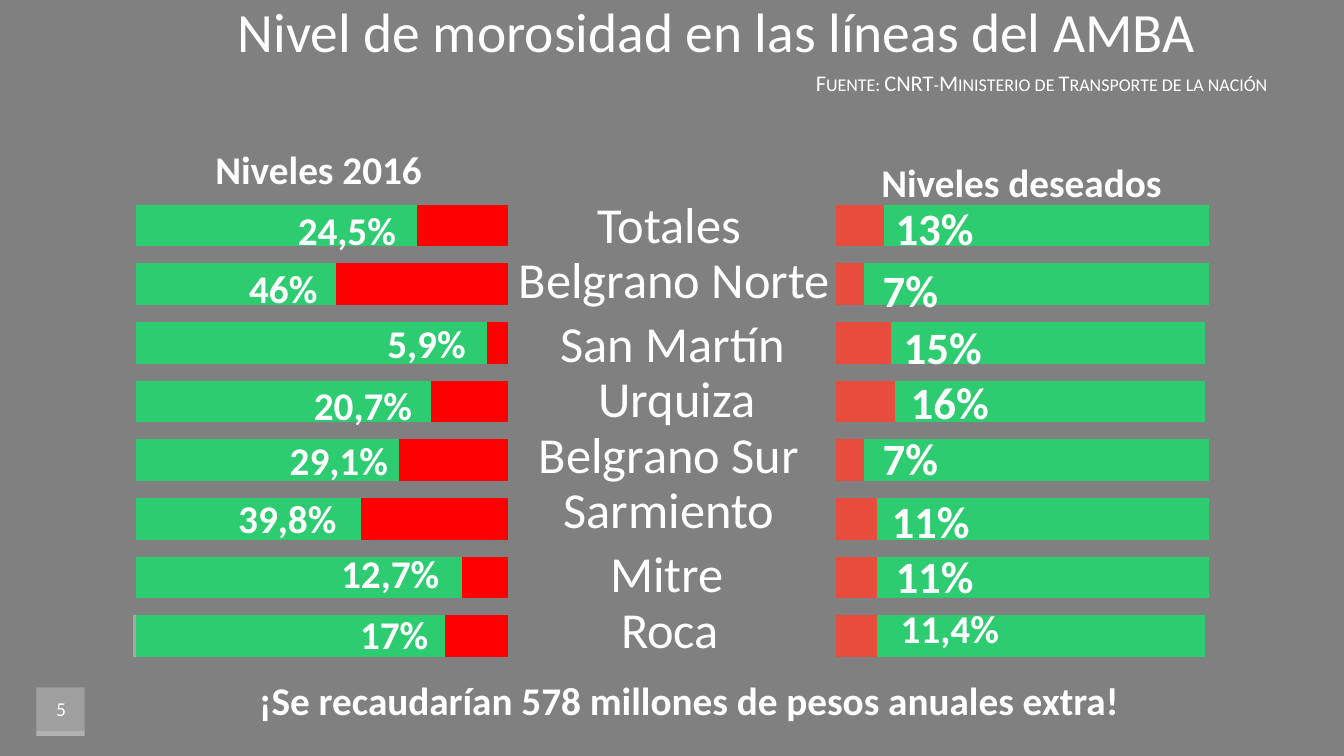
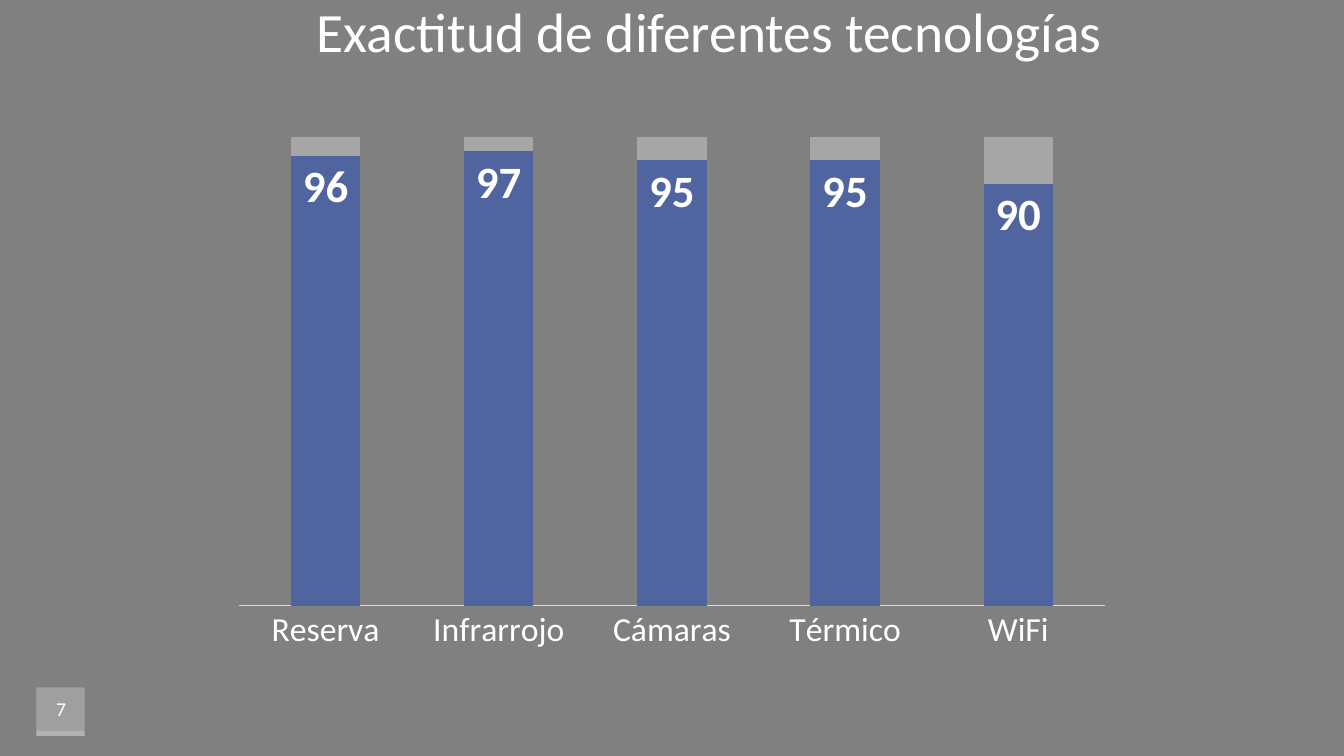
from dataclasses import dataclass
from typing import NamedTuple, Optional

from lxml.etree import SubElement
from pptx import Presentation
from pptx.chart.data import CategoryChartData
from pptx.dml.color import RGBColor
from pptx.enum.chart import XL_CHART_TYPE as ChartType, XL_LABEL_POSITION as LabelPosition
from pptx.enum.chart import XL_TICK_MARK as TickMark
from pptx.enum.shapes import MSO_SHAPE as Preset
from pptx.enum.text import MSO_ANCHOR as Anchor, MSO_AUTO_SIZE as AutoSize, PP_ALIGN as Align
from pptx.oxml import parse_xml
from pptx.oxml.ns import nsdecls, qn
from pptx.util import Inches, Pt


@dataclass(frozen=True)
class Theme:
    font: str = "Calibri"
    background: str = "808080"
    white: str = "FFFFFF"
    green: str = "2ECC71"
    red: str = "FF0000"
    soft_red: str = "E74C3C"
    blue: str = "50649F"
    grey: str = "A6A6A6"
    axis: str = "D9D9D9"
    title_size: float = 39.6
    source_size: float = 16
    number_size: float = 14
    name_size: float = 36
    figure_size: float = 28
    large_size: float = 32
    category_size: float = 24


THEME = Theme()


class Box(NamedTuple):
    left: float
    top: float
    width: float
    height: float

    def lengths(self) -> list:
        return [Inches(value) for value in self]


class Label(NamedTuple):
    text: str
    left: float
    top: float
    width: float
    size: float = THEME.figure_size


class Series(NamedTuple):
    name: str
    values: tuple
    color: str


class BarPanel(NamedTuple):
    box: Box
    series: tuple
    axis_maximum: float
    reverse: bool


TITLE_HEIGHT = 0.68
LABEL_HEIGHTS = {THEME.figure_size: 0.57, THEME.large_size: 0.64, THEME.name_size: 0.71}
BADGE_PARTS = ((Box(0.36, 6.82, 0.48, 0.48), 25), (Box(0.36, 7.25, 0.48, 0.05), 20))

LINE_NAMES = [
    Label(*row, THEME.name_size) for row in (
        ("Totales", 5.8, 1.86, 1.68),
        ("Belgrano Norte", 5, 2.41, 3.38),
        ("San Martín", 5.41, 3.04, 2.52),
        ("Urquiza", 5.81, 3.59, 1.81),
        ("Belgrano Sur", 5.2, 4.14, 2.87),
        ("Sarmiento", 5.45, 4.69, 2.37),
        ("Mitre", 5.93, 5.32, 1.37),
        ("Roca", 6.04, 5.88, 1.21),
    )
]
CURRENT_LEVELS = [
    Label("24,5%", 2.73, 2, 1.42),
    Label("46%", 2.26, 2.57, 1.1),
    Label("5,9%", 3.52, 3.12, 1.42),
    Label("20,7%", 2.89, 3.73, 1.42),
    Label("29,1%", 2.65, 4.28, 1.42),
    Label("39,8%", 2.18, 4.85, 1.34),
    Label("12,7%", 3.2, 5.4, 1.34),
    Label("17%", 3.36, 6.01, 1.1),
]
DESIRED_LEVELS = [
    Label(*row, THEME.large_size) for row in (
        ("13%", 8.56, 1.94, 1.42),
        ("7%", 8.32, 2.56, 1.42),
        ("15%", 8.64, 3.12, 1.42),
        ("16%", 8.87, 3.67, 1.1),
        ("7%", 8.48, 4.22, 1.1),
        ("11%", 8.64, 4.85, 1.18),
        ("11%", 8.56, 5.39, 1.42),
    )
] + [Label("11,4%", 8.71, 5.95, 1.42)]
CAPTIONS = [
    Label("Niveles 2016", 1.86, 1.39, 2.6),
    Label("Niveles deseados", 8.4, 1.52, 3.46),
    Label("¡Se recaudarían 578 millones de pesos anuales extra!", 2.34, 6.66, 8.98),
]
DESIRED_PANEL = BarPanel(
    Box(8.2, 1.85, 4.6, 4.85),
    (
        Series("Series 1", (12, 12, 12, 8, 17, 16, 8, 14), THEME.soft_red),
        Series("Series 2", (95, 96, 96, 100, 90, 91, 100, 94), THEME.green),
        Series("Series 3", (0,) * 8, THEME.grey),
    ),
    axis_maximum=129, reverse=False,
)
CURRENT_PANEL = BarPanel(
    Box(0.53, 1.85, 4.6, 4.85),
    (
        Series("Series 1", (18, 13, 42, 31, 22, 6, 49, 26), THEME.red),
        Series("Series 2", (88, 93, 64, 75, 84, 100, 57, 80), THEME.green),
        Series("Series 3", (1,) + (None,) * 7, THEME.grey),
    ),
    axis_maximum=127, reverse=True,
)
TECHNOLOGIES = ("Reserva", "Infrarrojo", "Cámaras", "Térmico", "WiFi")
ACCURACY = (96, 97, 95, 95, 90)
ACCURACY_PLOT = {"x": 0.017, "y": 0.096, "w": 0.966, "h": 0.784}


def rgb(color: str) -> RGBColor:
    return RGBColor.from_string(color)


def style_font(font, size: float, bold: bool = False) -> None:
    font.name = THEME.font
    font.size = Pt(size)
    font.bold = bold
    font.color.rgb = rgb(THEME.white)


def write_text(shape, text: str, size: float, align=Align.CENTER, bold: bool = False,
               anchor=Anchor.MIDDLE, wrap: bool = True):
    frame = shape.text_frame
    frame.word_wrap = wrap
    frame.auto_size = AutoSize.NONE
    frame.vertical_anchor = anchor
    paragraph = frame.paragraphs[0]
    paragraph.text = text
    paragraph.alignment = align
    style_font(paragraph.font, size, bold)
    return paragraph


def place(shape, box: Box) -> None:
    shape.left, shape.top, shape.width, shape.height = box.lengths()


def add_label(slide, label: Label, is_name: bool = False) -> None:
    box = Box(label.left, label.top, label.width, LABEL_HEIGHTS[label.size])
    write_text(slide.shapes.add_textbox(*box.lengths()), label.text, label.size,
               bold=not is_name, wrap=not is_name,
               anchor=Anchor.MIDDLE if is_name else Anchor.TOP)


def add_badge(slide, number: int) -> None:
    """Draw the translucent page number square."""
    for box, opacity in BADGE_PARTS:
        square = slide.shapes.add_shape(Preset.RECTANGLE, *box.lengths())
        square.shadow.inherit = False
        square.line.fill.background()
        square.fill.solid()
        square.fill.fore_color.rgb = rgb(THEME.white)
        color = square.fill._xPr.find(f".//{qn('a:srgbClr')}")
        SubElement(color, qn("a:alpha"), val=str(opacity * 1000))
    number_box = slide.shapes.add_textbox(*Box(0.29, 6.82, 0.63, 0.43).lengths())
    write_text(number_box, str(number), THEME.number_size)


def add_slide(presentation, layout_index: int, number: int, title: str,
              left: float, width: float):
    slide = presentation.slides.add_slide(presentation.slide_layouts[layout_index])
    add_badge(slide, number)
    place(slide.shapes.title, Box(left, 0, width, TITLE_HEIGHT))
    paragraph = write_text(slide.shapes.title, title, THEME.title_size, Align.LEFT)
    paragraph.line_spacing = 0.9
    return slide


def add_stacked_chart(slide, kind, box: Box, categories, series_list, gap: int,
                      plot_area: Optional[dict] = None):
    data = CategoryChartData()
    data.categories = categories
    for series in series_list:
        data.add_series(series.name, series.values)
    chart = slide.shapes.add_chart(kind, *box.lengths(), data).chart
    chart.has_legend = False
    chart.has_title = False
    chart.font.name = THEME.font
    chart.font.size = Pt(10)
    chart.value_axis.has_major_gridlines = False
    chart.value_axis.visible = False
    plot = chart.plots[0]
    plot.gap_width = gap
    plot.overlap = 100
    plot.vary_by_categories = False
    for drawn, series in zip(plot.series, series_list):
        drawn.format.fill.solid()
        drawn.format.fill.fore_color.rgb = rgb(series.color)
        drawn.invert_if_negative = False
    if plot_area:
        set_plot_area(chart, plot_area)
    return chart


def set_plot_area(chart, fractions: dict) -> None:
    """Fix the inner plot area as fractions of the chart."""
    area = chart._chartSpace.find(f".//{qn('c:plotArea')}")
    for layout in area.findall(qn("c:layout")):
        area.remove(layout)
    modes = '<c:layoutTarget val="inner"/><c:xMode val="edge"/><c:yMode val="edge"/>'
    sizes = "".join(f'<c:{key} val="{value}"/>' for key, value in fractions.items())
    area.insert(0, parse_xml(
        f'<c:layout {nsdecls("c")}><c:manualLayout>{modes}{sizes}</c:manualLayout></c:layout>'))


def add_bar_panel(slide, panel: BarPanel) -> None:
    categories = [str(index) for index in range(1, 9)]
    chart = add_stacked_chart(slide, ChartType.BAR_STACKED, panel.box, categories,
                              panel.series, gap=40)
    chart.category_axis.visible = False
    chart.value_axis.minimum_scale = 0
    chart.value_axis.maximum_scale = panel.axis_maximum
    chart.value_axis.reverse_order = panel.reverse


def build_evasion_slide(presentation) -> None:
    slide = add_slide(presentation, 0, 5, "Nivel de morosidad en las líneas del AMBA", 2.26, 10.41)
    source = slide.placeholders[1]
    place(source, Box(2.26, 0.68, 10.41, 0.31))
    paragraph = write_text(source, "Fuente: CNRT-Ministerio de Transporte de la nación",
                           THEME.source_size, Align.RIGHT)
    paragraph.line_spacing = 0.9
    paragraph.runs[0].font._element.set("cap", "small")
    for panel in (DESIRED_PANEL, CURRENT_PANEL):
        add_bar_panel(slide, panel)
    for name in LINE_NAMES:
        add_label(slide, name, is_name=True)
    for label in DESIRED_LEVELS + CURRENT_LEVELS + CAPTIONS:
        add_label(slide, label)


def build_accuracy_slide(presentation) -> None:
    slide = add_slide(presentation, 5, 7, "Exactitud de diferentes tecnologías", 3.04, 8.27)
    series_list = (
        Series("Series 1", ACCURACY, THEME.blue),
        Series("Series 2", tuple(100 - value for value in ACCURACY), THEME.grey),
    )
    chart = add_stacked_chart(slide, ChartType.COLUMN_STACKED_100, Box(2.22, 0.79, 8.89, 5.93),
                              TECHNOLOGIES, series_list, gap=150, plot_area=ACCURACY_PLOT)
    axis = chart.category_axis
    axis.major_tick_mark = TickMark.NONE
    axis.format.line.color.rgb = rgb(THEME.axis)
    axis.format.line.width = Pt(0.75)
    style_font(axis.tick_labels.font, THEME.category_size)
    labels = chart.plots[0].series[0].data_labels
    labels.show_value = True
    labels.position = LabelPosition.INSIDE_END
    style_font(labels.font, THEME.large_size, bold=True)


def main() -> None:
    presentation = Presentation()
    presentation.slide_width = Inches(13.33)
    presentation.slide_height = Inches(7.5)
    background = presentation.slide_master.background.fill
    background.solid()
    background.fore_color.rgb = rgb(THEME.background)
    build_evasion_slide(presentation)
    build_accuracy_slide(presentation)
    presentation.save("out.pptx")


if __name__ == "__main__":
    main()
